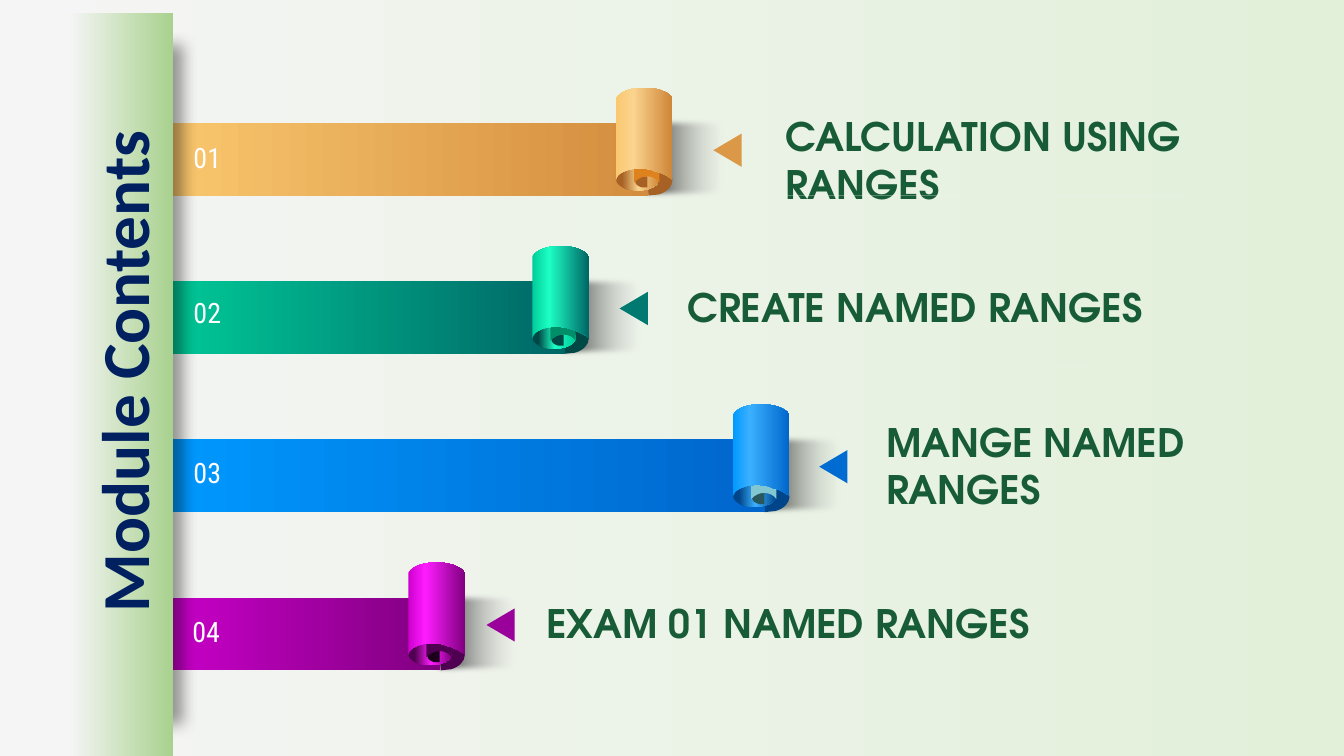
from lxml.etree import SubElement
from pptx import Presentation
from pptx.dml.color import RGBColor
from pptx.enum.shapes import MSO_CONNECTOR, MSO_SHAPE
from pptx.enum.text import MSO_AUTO_SIZE, PP_ALIGN
from pptx.oxml.ns import qn
from pptx.util import Inches, Pt

# Scroll outlines in inches from the tube's top left corner:
# a start point, then lines (2 numbers) and Bezier curves (6 numbers)
FOOT = [(.56, .92), (.56, .98, .50, 1.04, .42, 1.06), (.32, 1.07), (.32, .76),
        (.42, .77), (.50, .80, .56, .85, .56, .92)]
CURL = [(.19, .93), (.19, .96, .22, .98, .26, .99), (.31, .99), (.31, .88),
        (.26, .88), (.22, .89, .19, .91, .19, .93)]
WALL = [(.18, .51), (.20, .48, .25, .46, .30, .46), (.36, .46, .41, .48, .43, .51),
        (.43, .94), (.40, .90, .36, .88, .31, .88), (.26, .88, .22, .90, .18, .94),
        (.18, .51)]
TUBE = [(.28, 0), (.39, 0, .51, .03, .56, .10), (.56, .91),
        (.52, .88, .48, .86, .43, .84), (.39, .83), (.34, .81),
        (.31, .81, .28, .80, .24, .80), (.13, .80, .03, .84, .01, .89),
        (0, .92), (0, .10), (.05, .03, .16, 0, .28, 0)]

BAR_LEFT = 1.51
FIRST_TOP, ROW_STEP = 0.87, 1.57

# tube: left edge; cap: dark, light and end colour of the rolled end
ROWS = [
    dict(tube=6.11, bar=("FAC86F", "D48D3E"), cap=("A76124", "FBD48F", "CE8537"),
         tube_end="CE8537", curl="A76124", wall="DD821D", arrow=(7.05, "DB9948"),
         num=("01", 1.82, 1.34), label=("CALCULATION USING RANGES", 7.69, 1.07, 5.3, 1.04),
         rule=1.94),
    dict(tube=5.28, bar=("00CC99", "006666"), cap=("004846", "1DFFC4", "00CC99"),
         tube_end="006666", curl="004846", wall="008E69", arrow=(6.12, "007A70"),
         num=("02", 1.82, 2.88), label=("CREATE NAMED RANGES", 6.72, 2.76, 5.68, 0.57),
         rule=3.63),
    dict(tube=7.27, bar=("0099FF", "0066CC"), cap=("00458A", "3BB0FF", "00458A"),
         tube_end="0066CC", curl="28585E", wall="81C6D1", arrow=(8.1, "006CD2"),
         num=("03", 1.82, 4.47), label=("MANGE NAMED RANGES", 8.69, 4.1, 4.28, 1.04),
         rule=None),
    dict(tube=4.05, bar=("CC00CC", "800080"), cap=("500050", "FF1DFF", "800080"),
         tube_end="800080", curl="1A001A", wall="500050", arrow=(4.8, "9A009A"),
         num=("04", 1.81, 6.05), label=("EXAM 01 NAMED RANGES", 5.32, 5.9, 6.39, 0.57),
         rule=None),
]


def rgb(color):
    return RGBColor.from_string(color)


def set_gradient(fill, element, stops):
    """Left-to-right gradient; a stop is (percent, colour[, opacity])."""
    fill.gradient()
    fill.gradient_angle = 0
    gs_list = next(element.iter(qn("a:gsLst")))
    for gs in list(gs_list):
        gs_list.remove(gs)
    for pos, color, *opacity in stops:
        gs = SubElement(gs_list, qn("a:gs"), pos=str(pos * 1000))
        clr = SubElement(gs, qn("a:srgbClr"), val=color)
        if opacity:
            SubElement(clr, qn("a:alpha"), val=str(opacity[0] * 1000))


def paint(sp, fill):
    sp.shadow.inherit = False
    sp.line.fill.background()
    if isinstance(fill, str):
        sp.fill.solid()
        sp.fill.fore_color.rgb = rgb(fill)
    else:
        set_gradient(sp.fill, sp._element, fill)
    return sp


def add_preset(s, kind, x, y, w, h, fill):
    return paint(s.shapes.add_shape(kind, Inches(x), Inches(y), Inches(w), Inches(h)), fill)


def add_outline(s, outline, x, y, fill):
    ends = [(Inches(x + seg[-2]), Inches(y + seg[-1])) for seg in outline]
    builder = s.shapes.build_freeform(*ends[0])
    builder.add_line_segments(ends[1:], close=True)
    sp = builder.convert_to_shape()
    # Turn the lines that have control points into curves
    lines = list(sp._element.iter(qn("a:lnTo")))
    for line, seg in zip(lines, outline[1:]):
        if len(seg) == 6:
            line.tag = qn("a:cubicBezTo")
            line.remove(line[0])
            for px, py in zip(seg[::2], seg[1::2]):
                SubElement(line, qn("a:pt"), x=str(Inches(x + px) - sp.left),
                           y=str(Inches(y + py) - sp.top))
    return paint(sp, fill)


def add_text(s, text, x, y, w, h, font, size, color, bold=False):
    tb = s.shapes.add_textbox(Inches(x), Inches(y), Inches(w), Inches(h))
    tf = tb.text_frame
    tf.word_wrap = True
    tf.auto_size = MSO_AUTO_SIZE.SHAPE_TO_FIT_TEXT
    r = tf.paragraphs[0].add_run()
    r.text = text
    r.font.name, r.font.size, r.font.bold = font, Pt(size), bold
    r.font.color.rgb = rgb(color)
    return tb


def add_scroll(s, row, x, y):
    """Bar that ends in a rolled tube with its top left corner at x, y."""
    start, end = row["bar"]
    dark, light, cap_end = row["cap"]
    grp = s.shapes.add_group_shape()
    # Soft shadow to the right of the tube
    shade = add_preset(grp, MSO_SHAPE.RECTANGLE, x + .21, y + .27, .93, .86,
                       [(0, "000000"), (100, "E9EBEA", 0)])
    effects = shade._element.spPr.find(qn("a:effectLst"))
    SubElement(effects, qn("a:softEdge"), rad=str(Pt(5)))
    # Bar and roll, from back to front
    add_outline(grp, FOOT, x, y, dark)
    add_preset(grp, MSO_SHAPE.RECTANGLE, BAR_LEFT, y + .35, x + .32 - BAR_LEFT, .72,
               [(0, start), (100, end)])
    add_preset(grp, MSO_SHAPE.OVAL, x, y + .8, .43, .22,
               [(14, dark), (52, light), (100, cap_end)])
    add_outline(grp, CURL, x, y, row["curl"])
    add_outline(grp, WALL, x, y, row["wall"])
    add_outline(grp, TUBE, x, y, [(0, start), (30, light), (100, row["tube_end"])])


def add_side_panel(s, x, y, w, h):
    # Strip that casts the shadow
    strip = add_preset(s, MSO_SHAPE.RECTANGLE, x + .48, y + .32, .55, 6.72, "F4F4F4")
    effects = strip._element.spPr.find(qn("a:effectLst"))
    shadow = SubElement(effects, qn("a:outerShdw"), blurRad=str(Pt(11)),
                        dist=str(Pt(7)), dir="0", algn="l", rotWithShape="0")
    clr = SubElement(shadow, qn("a:srgbClr"), val="000000")
    SubElement(clr, qn("a:alpha"), val="40000")
    # Panel
    add_preset(s, MSO_SHAPE.RECTANGLE, x, y, w, h, [(0, "F5F5F5"), (100, "A9D18E")])


def add_title(s, x, y, w, h):
    tb = add_text(s, "Module Contents", x, y, w, h, "Calibri", 48, "002060", True)
    tb.text_frame.paragraphs[0].alignment = PP_ALIGN.CENTER
    tb.rotation = 270


def add_entry(s, row, y):
    """Number, arrow and label of one scroll whose tube starts at y."""
    num, num_x, num_y = row["num"]
    add_text(s, num, num_x, num_y, .55, .44, "Roboto Condensed", 20, "FFFFFF")
    arrow_x, color = row["arrow"]
    add_preset(s, MSO_SHAPE.ISOSCELES_TRIANGLE, arrow_x, y + .48, .33, .28, color).rotation = 270
    text, x, top, w, h = row["label"]
    add_text(s, text, x, top, w, h, "TeX Gyre Adventor", 28, "185C37", True)
    # Faint rule under the label
    if row["rule"]:
        ln = s.shapes.add_connector(MSO_CONNECTOR.STRAIGHT, Inches(x), Inches(row["rule"]),
                                    Inches(x + 4.11), Inches(row["rule"]))
        ln.line.width = Pt(.5)
        ln.line.color.rgb = rgb("F2F2F2")
        SubElement(next(ln._element.iter(qn("a:srgbClr"))), qn("a:alpha"), val="30000")
        SubElement(ln._element.spPr, qn("a:effectLst"))


def main():
    prs = Presentation()
    prs.slide_width, prs.slide_height = Inches(13.33), Inches(7.5)
    s = prs.slides.add_slide(prs.slide_layouts[6])
    set_gradient(s.background.fill, s._element, [(0, "F5F5F5"), (100, "E2F0D9")])
    tops = [FIRST_TOP + i * ROW_STEP for i in range(len(ROWS))]
    for row, y in zip(ROWS, tops):
        add_scroll(s, row, row["tube"], y)
    add_side_panel(s, .68, .13, 1.04, 7.37)
    for row, y in zip(ROWS, tops):
        add_entry(s, row, y)
    add_title(s, -2.46, 3.23, 7.37, .91)
    prs.save("out.pptx")


if __name__ == "__main__":
    main()
